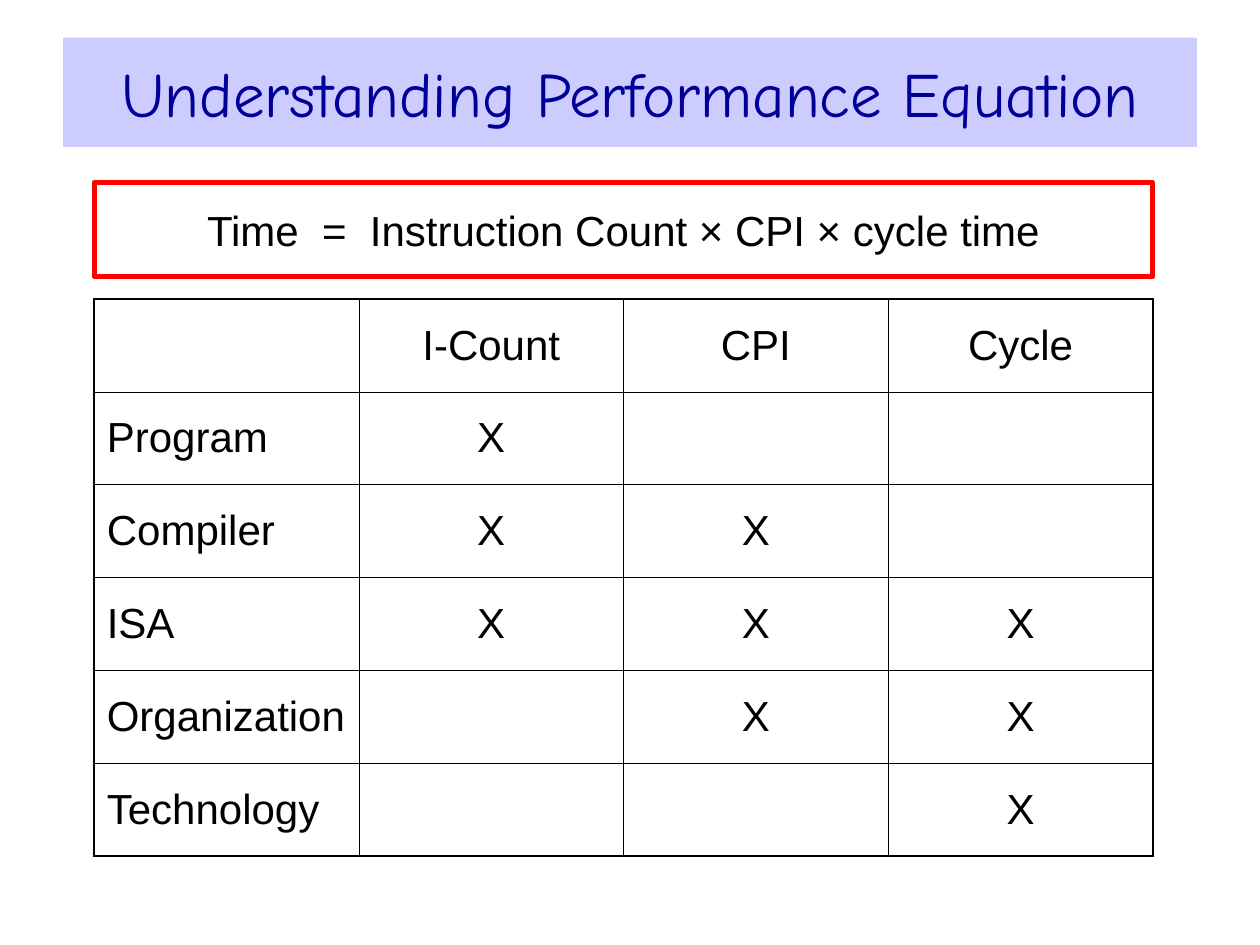
from dataclasses import dataclass

from lxml import etree
from pptx import Presentation
from pptx import util as u
from pptx.dml import color
from pptx.enum import shapes, text
from pptx.oxml import ns

BLACK, RED, NAVY, LAVENDER = "000000", "FF0000", "000099", "CCCCFF"
INNER_LINE, OUTER_LINE = u.Pt(0.45), u.Pt(1.08)
FACTORS = ["I-Count", "CPI", "Cycle"]


@dataclass
class Influence:
    """A design level and the factors it affects."""
    level: str
    factors: list[str]


@dataclass
class Box:
    left: float
    top: float
    width: float
    height: float

    def lengths(self) -> list[u.Length]:
        return [u.Cm(n) for n in (self.left, self.top, self.width, self.height)]


INFLUENCES = [
    Influence("Program", ["I-Count"]),
    Influence("Compiler", ["I-Count", "CPI"]),
    Influence("ISA", FACTORS),
    Influence("Organization", ["CPI", "Cycle"]),
    Influence("Technology", ["Cycle"]),
]
TITLE_BOX = Box(1.27, 0.76, 22.86, 2.2)
EQUATION_BOX = Box(1.9, 3.68, 21.34, 1.9)
TABLE_BOX = Box(1.9, 6.03, 21.34, 11.23)


def rgb(value: str) -> color.RGBColor:
    return color.RGBColor.from_string(value)


def write(frame, words: str, size: float, font: str, ink: str,
          align=text.PP_ALIGN.CENTER) -> None:
    frame.word_wrap = True
    paragraph = frame.paragraphs[0]
    paragraph.alignment = align
    run = paragraph.add_run()
    run.text = words
    run.font.size = u.Pt(size)
    run.font.name = font
    run.font.color.rgb = rgb(ink)


def set_borders(cell, widths: dict[str, int]) -> None:
    properties = cell._tc.get_or_add_tcPr()
    for position, (side, width) in enumerate(widths.items()):
        line = etree.Element(ns.qn(f"a:ln{side}"), w=str(width))
        fill = etree.SubElement(line, ns.qn("a:solidFill"))
        etree.SubElement(fill, ns.qn("a:srgbClr"), val=BLACK)
        properties.insert(position, line)


def add_title(slide) -> None:
    title = slide.shapes.title
    title.left, title.top, title.width, title.height = TITLE_BOX.lengths()
    title.fill.solid()
    title.fill.fore_color.rgb = rgb(LAVENDER)
    title.text_frame.vertical_anchor = text.MSO_ANCHOR.MIDDLE
    write(title.text_frame, "Understanding Performance Equation",
          36, "Comic Neue", NAVY)


def add_equation(slide) -> None:
    shape = slide.shapes.add_shape(shapes.MSO_SHAPE.RECTANGLE,
                                   *EQUATION_BOX.lengths())
    shape.shadow.inherit = False
    shape.fill.background()
    shape.line.color.rgb = rgb(RED)
    shape.line.width = u.Pt(3)
    frame = shape.text_frame
    frame.margin_top = frame.margin_bottom = 0
    frame.vertical_anchor = text.MSO_ANCHOR.MIDDLE
    write(frame, "Time  =  Instruction Count × CPI × cycle time",
          24, "Arial", BLACK)


def add_influence_table(slide) -> None:
    grid = [["", *FACTORS]]
    for influence in INFLUENCES:
        marks = ["X" if f in influence.factors else "" for f in FACTORS]
        grid.append([influence.level, *marks])
    last_row, last_column = len(grid) - 1, len(FACTORS)
    table = slide.shapes.add_table(len(grid), len(grid[0]),
                                   *TABLE_BOX.lengths()).table
    table.first_row = table.horz_banding = False

    for r, row in enumerate(grid):
        for c, words in enumerate(row):
            cell = table.cell(r, c)
            cell.fill.background()
            cell.vertical_anchor = text.MSO_ANCHOR.MIDDLE
            align = text.PP_ALIGN.CENTER if c else text.PP_ALIGN.LEFT
            if words:
                write(cell.text_frame, words, 24, "Arial", BLACK, align)
            # The outer frame is heavier than the inner grid
            outer = {"L": c == 0, "R": c == last_column,
                     "T": r == 0, "B": r == last_row}
            set_borders(cell, {side: OUTER_LINE if edge else INNER_LINE
                               for side, edge in outer.items()})


def main() -> None:
    presentation = Presentation()
    presentation.slide_width = u.Cm(25.4)
    presentation.slide_height = u.Cm(19.05)
    # Title Only layout
    slide = presentation.slides.add_slide(presentation.slide_layouts[5])
    add_influence_table(slide)
    add_title(slide)
    add_equation(slide)
    presentation.save("out.pptx")


if __name__ == "__main__":
    main()
